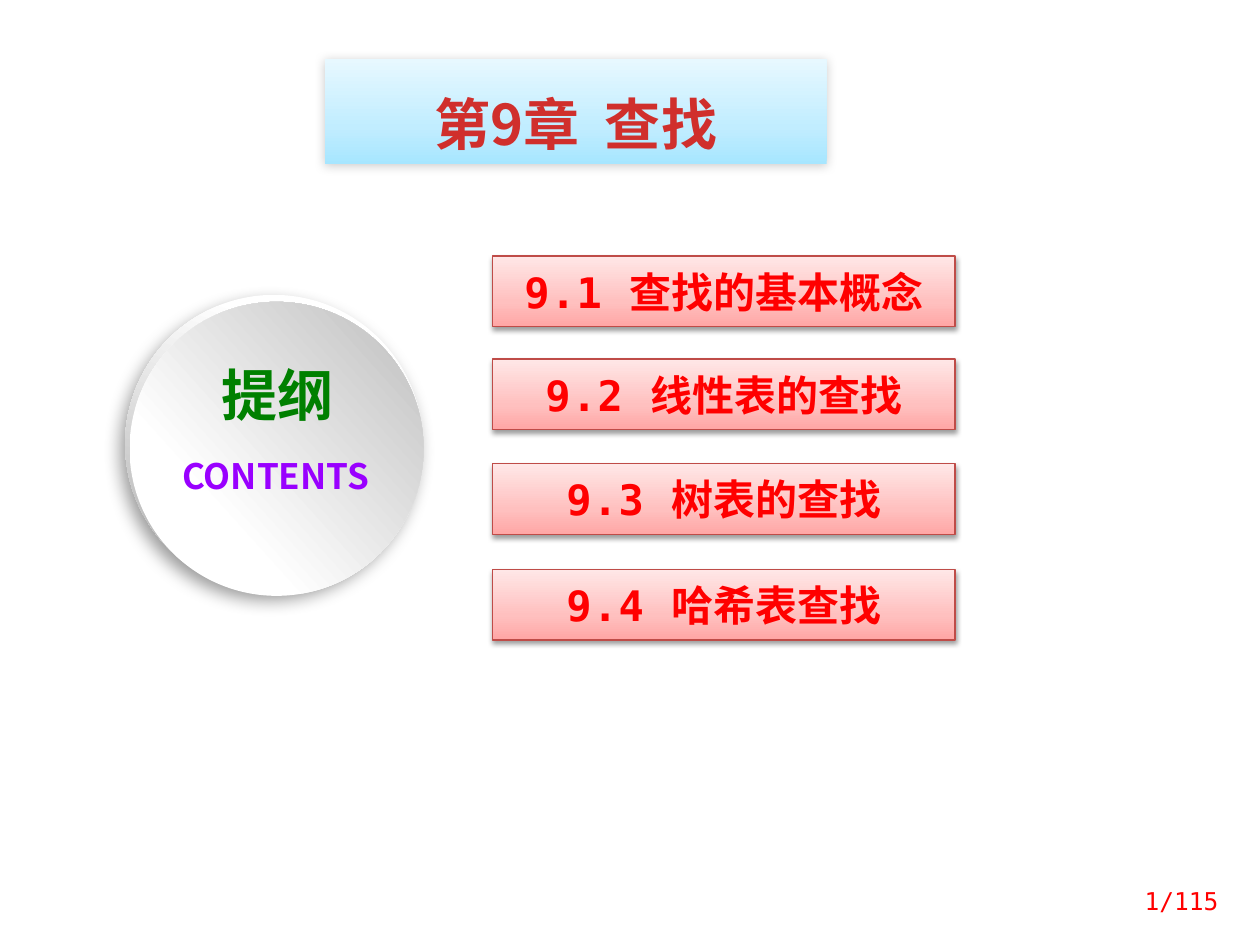
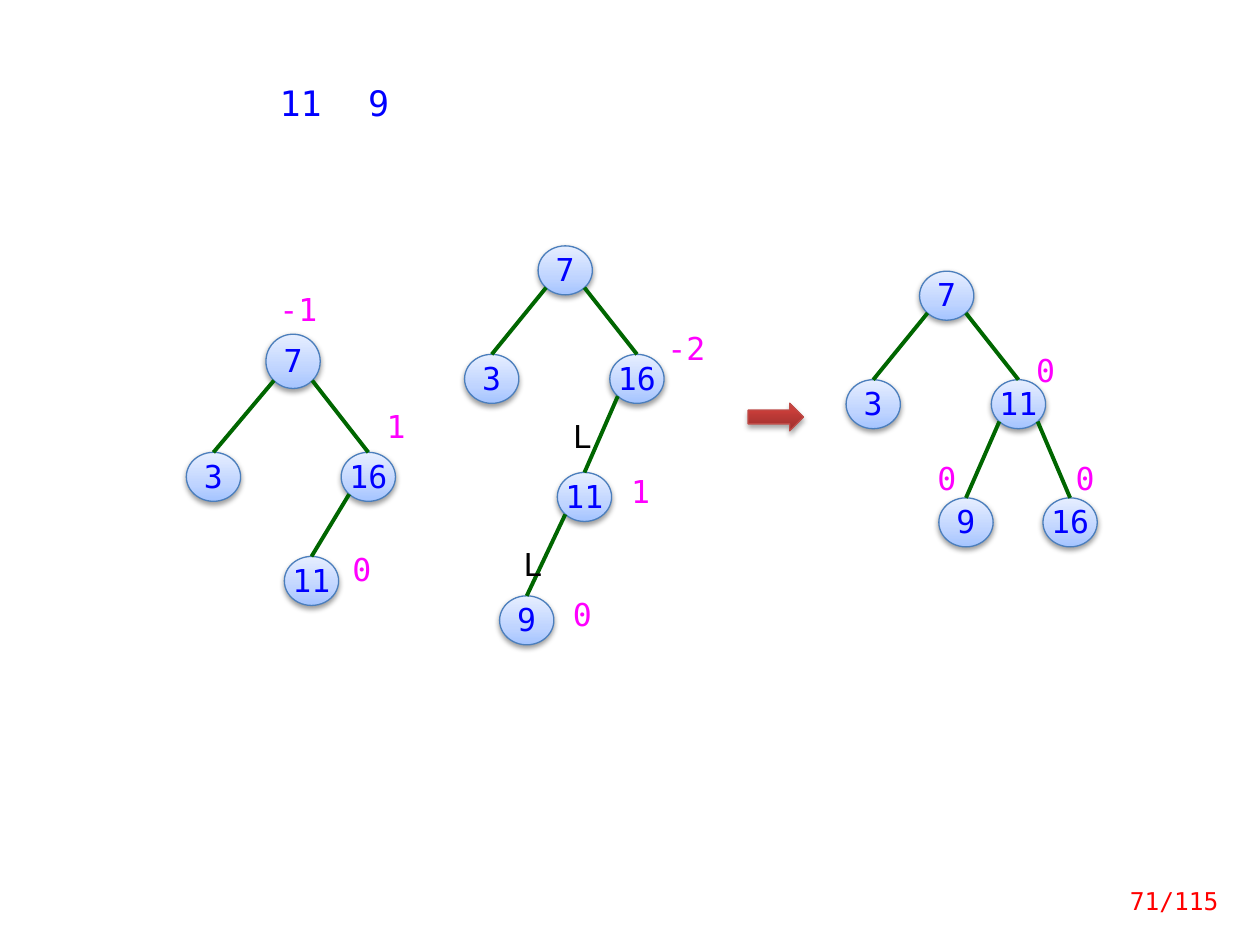
"""Builds the chapter outline and the balanced-tree insertion slide."""
from math import sqrt

from pptx import Presentation
from pptx.dml.color import RGBColor
from pptx.enum.shapes import MSO_CONNECTOR as Connector, MSO_SHAPE as Shape
from pptx.enum.text import MSO_ANCHOR as Anchor, PP_ALIGN as Align
from pptx.oxml import parse_xml
from pptx.oxml.ns import nsdecls, qn
from pptx.util import Pt

MONO, CJK, TITLE_FONT = "DejaVu Sans Mono", "Noto Sans CJK SC", "Noto Sans CJK JP"
RED = RGBColor(0xFF, 0x00, 0x00)
TITLE_RED = RGBColor(0xD0, 0x2F, 0x2C)
BRICK = RGBColor(0xBF, 0x4C, 0x48)
GREEN = RGBColor(0x00, 0x80, 0x00)
EDGE_GREEN = RGBColor(0x00, 0x66, 0x00)
PURPLE = RGBColor(0x99, 0x00, 0xFF)
BLUE = RGBColor(0x00, 0x00, 0xFF)
NODE_LINE = RGBColor(0x4B, 0x7E, 0xBC)
MAGENTA = RGBColor(0xFF, 0x00, 0xFF)
BLACK = RGBColor(0x00, 0x00, 0x00)

TITLE_GRADIENT = ([(0, "A7E6FF"), (35, "C1EDFF"), (100, "E7F8FF")], 270)
ITEM_GRADIENT = ([(0, "FFA6A5"), (35, "FFC0BF"), (100, "FFE7E7")], 270)
NODE_GRADIENT = ([(0, "A4C4FF"), (35, "BFD4FF"), (100, "E6EEFF")], 270)
ARROW_GRADIENT = ([(0, "9C2F2D"), (80, "CB3E3A"), (100, "CE3B37")], 270)
RIM_GRADIENT = ([(17, "FFFFFF"), (88, "B8B8B8")], 107)
DISC_GRADIENT = ([(29, "FFFFFF"), (98, "BFBFBF")], 318)

SOFT_SHADOW = (38, 3.1, 1.6, 90)
ARROW_SHADOW = (35, 3.1, 1.8, 90)
TITLE_SHADOW = (20, 6, 1, 135)
RIM_SHADOW = (39, 10, 5, 123)

CHAPTER = ("第9章", "查找")
SECTIONS = [
    ("9.1 ", "查找的基本概念"),
    ("9.2 ", "线性表的查找"),
    ("9.3 ", "树表的查找"),
    ("9.4 ", "哈希表查找"),
]
SECTION_TOPS = [146.2, 205.2, 265, 325.4]
PAGE_NUMBERS = ["1/115", "71/115"]

INSERTED_KEYS = [("11", 152), ("9", 196.6)]
NODE_WIDTH, NODE_HEIGHT = 31, 28
TREES = [
    {
        "nodes": {"7": (152, 191, 31), "3": (106.5, 258.5), "16": (195, 258.5),
                  "11": (162.5, 318)},
        "edges": [("7", "3"), ("7", "16"), ("16", "11")],
    },
    {
        "nodes": {"7": (307.5, 140.5), "3": (265.5, 202.5), "16": (348.5, 202.5),
                  "11": (318.5, 270), "9": (285.5, 340.5)},
        "edges": [("7", "3"), ("7", "16"), ("16", "11"), ("11", "9")],
    },
    {
        "nodes": {"7": (525.5, 155), "3": (483.5, 217), "11": (566.5, 217),
                  "9": (536.5, 284.5), "16": (596, 284.5)},
        "edges": [("7", "3"), ("7", "11"), ("11", "9"), ("11", "16")],
    },
]
BALANCE_FACTORS = [
    ("-1", 152, 163.5, 37), ("1", 213.8, 230.5, 21), ("0", 194.2, 312.5, 21),
    ("-2", 373.7, 186, 37), ("1", 353.5, 267.5, 21), ("0", 320.2, 338.2, 21),
    ("0", 585, 198.7, 25), ("0", 528.5, 260.5, 21), ("0", 607.5, 260.5, 21),
]
PATH_LABELS = [("L", 320.2, 236.3, 21), ("L", 292, 309.5, 21)]


def add_run(para, text, size, color, font=MONO, asian=CJK, bold=False, spacing=0):
    span = para.add_run()
    span.text = text
    span.font.size, span.font.name, span.font.bold = Pt(size), font, bold
    span.font.color.rgb = color
    properties = span._r.get_or_add_rPr()
    properties.find(qn("a:latin")).addnext(
        parse_xml(f'<a:ea {nsdecls("a")} typeface="{asian}"/>'))
    if spacing:
        properties.set("spc", str(round(spacing * 100)))


def set_frame(box, anchor=Anchor.TOP, align=Align.CENTER, top=3.6, bottom=3.6, wrap=True):
    frame = box.text_frame
    frame.word_wrap, frame.vertical_anchor = wrap, anchor
    frame.margin_top, frame.margin_bottom = Pt(top), Pt(bottom)
    para = frame.paragraphs[0]
    para.alignment = align
    return para


def add_box(page, left, top, width, height, **options):
    box = page.shapes.add_textbox(Pt(left), Pt(top), Pt(width), Pt(height))
    return set_frame(box, **options)


def add_figure(page, kind, bounds, gradient, shadow=None, line=None):
    figure = page.shapes.add_shape(kind, *map(Pt, bounds))
    stops, angle = gradient
    marks = "".join(f'<a:gs pos="{pos * 1000}"><a:srgbClr val="{color}"/></a:gs>'
                    for pos, color in stops)
    figure.element.spPr.insert(2, parse_xml(
        f'<a:gradFill {nsdecls("a")} rotWithShape="1"><a:gsLst>{marks}</a:gsLst>'
        f'<a:lin ang="{angle * 60000}" scaled="0"/></a:gradFill>'))
    if line is None:
        figure.line.fill.background()
    else:
        figure.line.color.rgb, figure.line.width = line, Pt(0.75)
    figure.shadow.inherit = False
    if shadow:
        alpha, blur, distance, direction = shadow
        figure.element.spPr.find(qn("a:effectLst")).append(parse_xml(
            f'<a:outerShdw {nsdecls("a")} blurRad="{Pt(blur)}" dist="{Pt(distance)}" '
            f'dir="{direction * 60000}" rotWithShape="0"><a:srgbClr val="000000">'
            f'<a:alpha val="{alpha * 1000}"/></a:srgbClr></a:outerShdw>'))
    return figure


def add_page(deck, number):
    page = deck.slides.add_slide(deck.slide_layouts[6])
    para = add_box(page, 621.4, 500.4, 82, 28.8, anchor=Anchor.MIDDLE, align=Align.RIGHT)
    add_run(para, number, 14, RED)
    return page


def add_label(page, label, color):
    text, left, top, width = label
    para = add_box(page, left, top, width, 27.4)
    para.line_spacing = Pt(20)
    add_run(para, text, 18, color)


def add_node(page, text, left, top, height=NODE_HEIGHT):
    node = add_figure(page, Shape.OVAL, (left, top, NODE_WIDTH, height),
                      NODE_GRADIENT, SOFT_SHADOW, NODE_LINE)
    para = set_frame(node, anchor=Anchor.MIDDLE, wrap=False)
    para.line_spacing = Pt(20)
    add_run(para, text, 18, BLUE)
    return node


def add_edge(page, parent, child):
    side = -1 if child.left < parent.left else 1
    reach = 1 / sqrt(2)
    start_x = round(parent.left + parent.width / 2 * (1 + side * reach))
    start_y = round(parent.top + parent.height / 2 * (1 + reach))
    edge = page.shapes.add_connector(Connector.STRAIGHT, start_x, start_y,
                                     child.left + child.width // 2, child.top)
    edge.end_connect(child, 0)
    edge.line.color.rgb, edge.line.width = EDGE_GREEN, Pt(2.25)
    edge.element.spPr.append(parse_xml(f'<a:effectLst {nsdecls("a")}/>'))


def build_outline(page):
    banner = add_figure(page, Shape.RECTANGLE, (185.8, 33.8, 286.6, 59.8),
                        TITLE_GRADIENT, TITLE_SHADOW)
    para = set_frame(banner, top=17.3)
    for text, spacing in ((CHAPTER[0], 0), (" ", 7), (CHAPTER[1], 0)):
        add_run(para, text, 32, TITLE_RED, TITLE_FONT, TITLE_FONT, True, spacing)

    add_figure(page, Shape.OVAL, (71.5, 168.5, 170, 170), RIM_GRADIENT, RIM_SHADOW)
    add_figure(page, Shape.OVAL, (74, 172.5, 168, 168), DISC_GRADIENT)
    add_run(add_box(page, 91.4, 256.3, 132.5, 31.7), "CONTENTS", 20, PURPLE, CJK, bold=True)
    add_run(add_box(page, 103, 202.3, 110.9, 46), "提纲", 32, GREEN, CJK, bold=True)

    for (number, name), top in zip(SECTIONS, SECTION_TOPS):
        item = add_figure(page, Shape.RECTANGLE, (281.4, top, 264.4, 40.4),
                          ITEM_GRADIENT, SOFT_SHADOW, BRICK)
        para = set_frame(item, top=5.8, bottom=5.8)
        add_run(para, number, 24, RED, bold=True, spacing=0.5)
        add_run(para, name, 24, RED, bold=True)


def build_insertion(page):
    for key, left in INSERTED_KEYS:
        para = add_box(page, left, 47.5, 39.6, 26.6)
        para.line_spacing = 0.8
        add_run(para, key, 20, BLUE)
    for tree in TREES:
        nodes = {key: add_node(page, key, *place) for key, place in tree["nodes"].items()}
        for parent, child in tree["edges"]:
            add_edge(page, nodes[parent], nodes[child])
    for label in BALANCE_FACTORS:
        add_label(page, label, MAGENTA)
    for label in PATH_LABELS:
        add_label(page, label, BLACK)
    add_figure(page, Shape.RIGHT_ARROW, (427.5, 230.4, 31.7, 15.8),
               ARROW_GRADIENT, ARROW_SHADOW, BRICK)


def main():
    deck = Presentation()
    deck.slide_width, deck.slide_height = Pt(720), Pt(540)
    for build, number in zip((build_outline, build_insertion), PAGE_NUMBERS):
        build(add_page(deck, number))
    deck.save("out.pptx")


if __name__ == "__main__":
    main()
